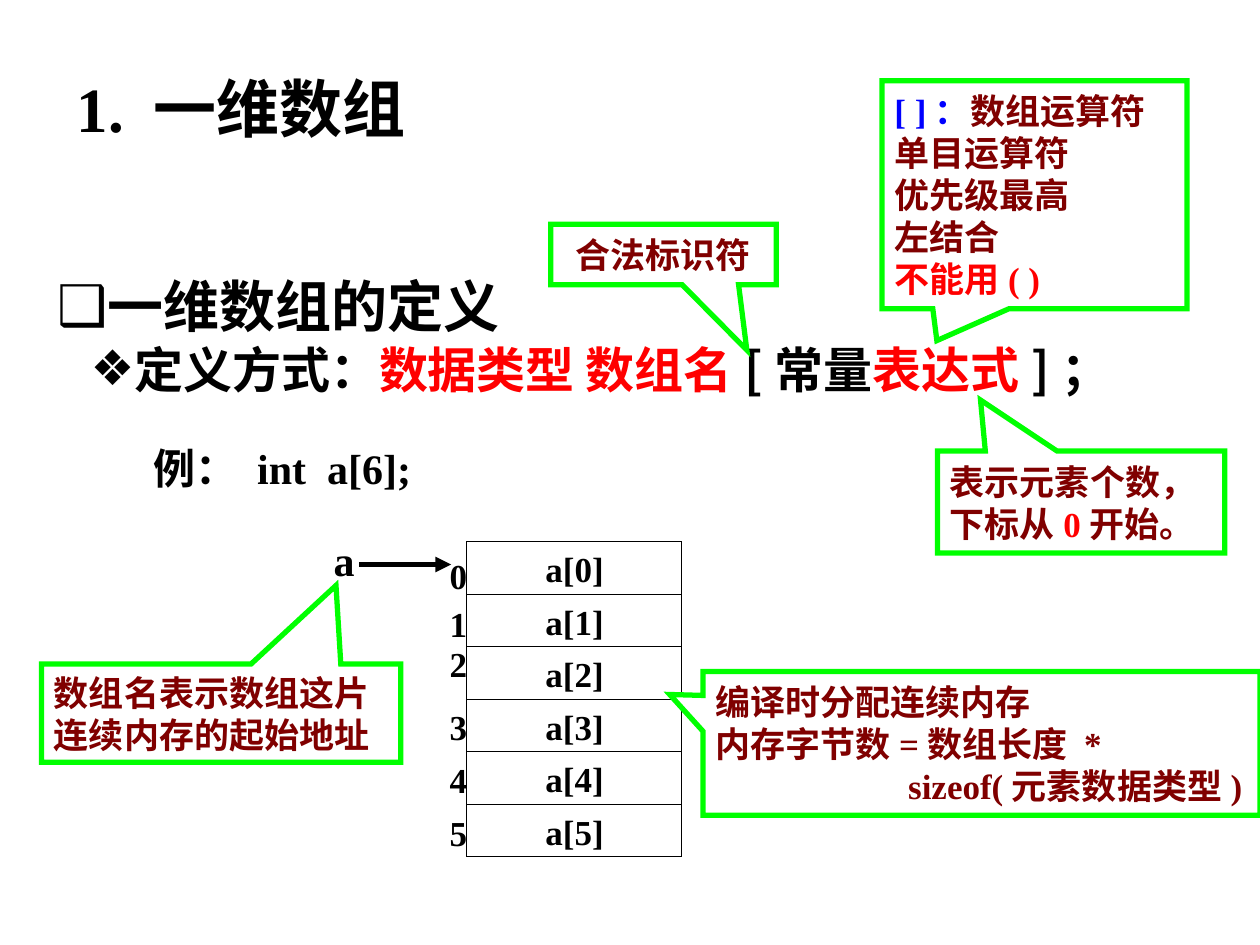
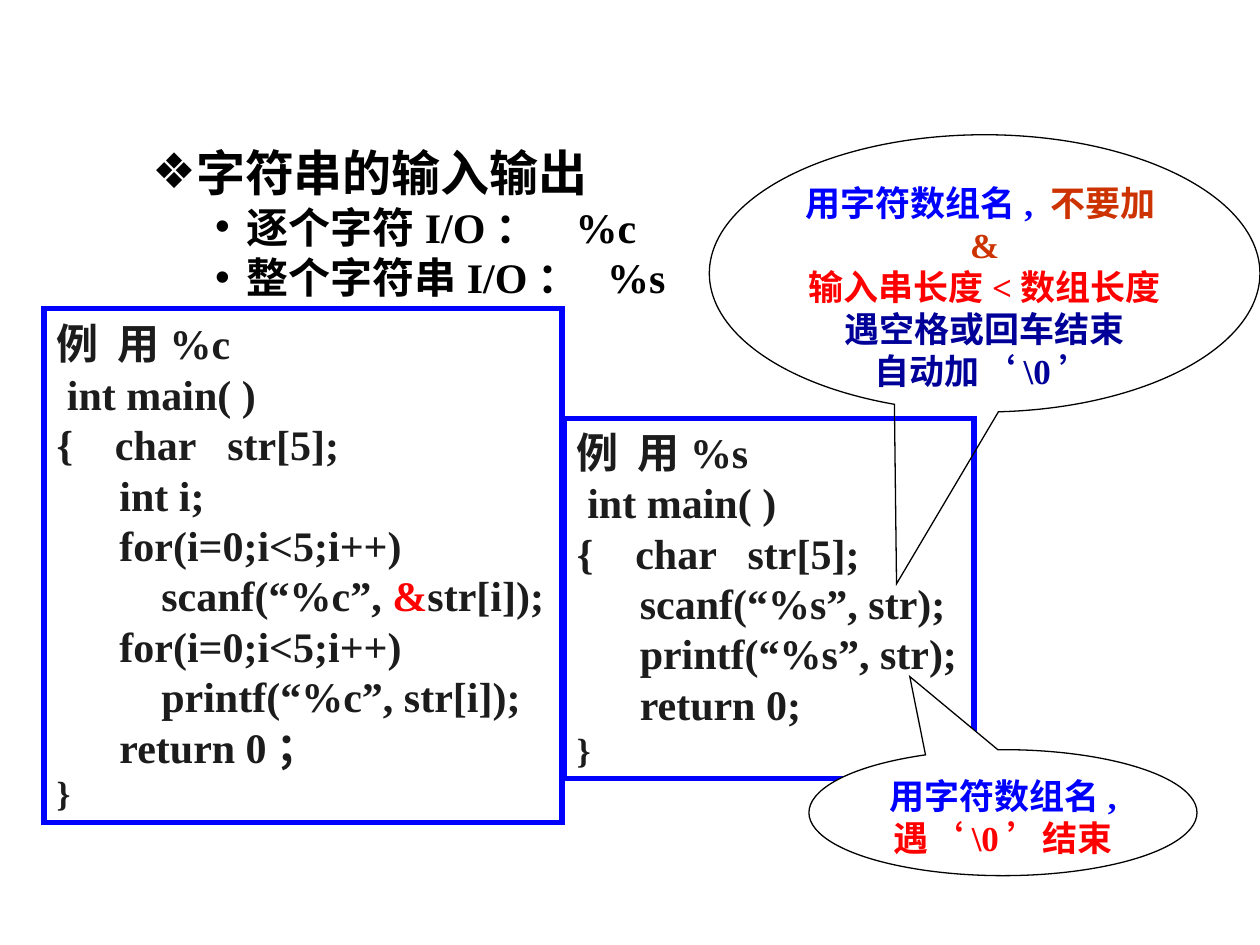
from lxml.etree import SubElement
from pptx import Presentation
from pptx.dml.color import RGBColor
from pptx.enum.shapes import MSO_CONNECTOR as Connector, MSO_SHAPE as Shape
from pptx.enum.text import MSO_ANCHOR as Anchor, PP_ALIGN as Align
from pptx.oxml.ns import qn
from pptx.util import Inches, Pt

SERIF = "Times New Roman"
SANS = "Noto Sans CJK SC"
BLACK, WHITE, RED, BLUE = "000000", "FFFFFF", "FF0000", "0000FF"
MAROON, GREEN, CODE = "800000", "00FF00", "1C1C1C"
ORANGE, NAVY = "CC3300", "000099"


def rgb(value):
    return RGBColor.from_string(value)


def add_run(paragraph, text, size, color=BLACK, font=SERIF):
    run = paragraph.add_run()
    run.text = text
    run.font.size = Pt(size)
    run.font.bold = True
    run.font.name = font
    run.font.color.rgb = rgb(color)
    SubElement(run._r.get_or_add_rPr(), qn("a:ea"), typeface=SANS)


def write_lines(frame, lines, size, align=Align.LEFT):
    for number, line in enumerate(lines):
        paragraph = frame.paragraphs[0] if number == 0 else frame.add_paragraph()
        paragraph.alignment = align
        for run in line:
            add_run(paragraph, run[0], size, *run[1:])


def set_bullet(paragraph, symbol, left, hang, tab=None):
    properties = paragraph._p.get_or_add_pPr()
    properties.set("marL", str(Inches(left)))
    properties.set("indent", str(-Inches(hang)))
    color = SubElement(properties, qn("a:buClr"))
    SubElement(color, qn("a:srgbClr"), val=BLACK)
    SubElement(properties, qn("a:buFont"), typeface="Arial")
    SubElement(properties, qn("a:buChar"), char=symbol)
    if tab:
        stops = SubElement(properties, qn("a:tabLst"))
        SubElement(stops, qn("a:tab"), pos=str(Inches(tab)), algn="l")


def add_text(slide, box, lines, size, wrap=True, align=Align.LEFT):
    frame = slide.shapes.add_textbox(*map(Inches, box)).text_frame
    frame.word_wrap = wrap
    write_lines(frame, lines, size, align)


def add_outline(slide, box, items):
    frame = slide.shapes.add_textbox(*map(Inches, box)).text_frame
    frame.word_wrap = True
    for number, (bullet, size, runs) in enumerate(items):
        paragraph = frame.paragraphs[0] if number == 0 else frame.add_paragraph()
        set_bullet(paragraph, *bullet)
        for run in runs:
            add_run(paragraph, run[0], size, *run[1:])


def add_shape(slide, kind, box, line, width, fill=None):
    shape = slide.shapes.add_shape(kind, *map(Inches, box))
    shape.shadow.inherit = False
    shape.line.color.rgb = rgb(line)
    shape.line.width = Pt(width)
    SubElement(shape.line._get_or_add_ln(), qn("a:miter"), lim="800000")
    if fill:
        shape.fill.solid()
        shape.fill.fore_color.rgb = rgb(fill)
    else:
        shape.fill.background()
    return shape


def point_callout(shape, tip):
    for number, offset in enumerate(tip):
        shape.adjustments[number] = offset


def add_note(slide, box, tip, lines, align=Align.LEFT):
    note = add_shape(slide, Shape.RECTANGULAR_CALLOUT, box, GREEN, 3, WHITE)
    point_callout(note, tip)
    note.text_frame.word_wrap = True
    note.text_frame.vertical_anchor = Anchor.MIDDLE
    write_lines(note.text_frame, lines, 20, align)
    return note


def add_bubble(slide, box, tip, lines, fill=None):
    bubble = add_shape(slide, Shape.OVAL_CALLOUT, box, BLACK, 0.75, fill)
    point_callout(bubble, tip)
    bubble.text_frame.word_wrap = True
    bubble.text_frame.vertical_anchor = Anchor.TOP
    write_lines(bubble.text_frame, lines, 20, Align.CENTER)


def add_code(slide, box, lines):
    frame = add_shape(slide, Shape.RECTANGLE, box, BLUE, 3).text_frame
    frame.word_wrap = False
    frame.vertical_anchor = Anchor.MIDDLE
    write_lines(frame, lines, 24)
    closing_brace = frame.add_paragraph()
    closing_brace.alignment = Align.LEFT
    add_run(closing_brace, "}", 20, CODE)


def add_line(slide, start, end, width, arrow=False):
    line = slide.shapes.add_connector(
        Connector.STRAIGHT, *map(Inches, (*start, *end)))
    line.line.color.rgb = rgb(BLACK)
    line.line.width = Pt(width)
    if arrow:
        SubElement(line.line._get_or_add_ln(), qn("a:tailEnd"), type="triangle")
    SubElement(line._element.spPr, qn("a:effectLst"))


def add_memory(slide):
    left, top, width, height = 3.7, 4.3, 1.71, 2.5
    index_tops = (4.35, 4.73, 5.05, 5.55, 5.97, 6.39)
    row = height / len(index_tops)
    add_shape(slide, Shape.RECTANGLE, (left, top, width, height), BLACK, 0.75)
    for index, index_top in enumerate(index_tops):
        cell_top = top + index * row
        if index:
            add_line(slide, (left, cell_top), (left + width, cell_top), 0.75)
        add_text(slide, (4.23, cell_top, 0.85, 0.43), [[(f"a[{index}]",)]], 20)
        add_text(slide, (3.47, index_top, 0.34, 0.43), [[(str(index),)]], 20, False)
    add_line(slide, (2.85, 4.48), (3.58, 4.48), 3, arrow=True)
    add_text(slide, (2.55, 4.19, 0.36, 0.5), [[("a",)]], 24, False, Align.CENTER)


def build_array_slide(deck):
    slide = deck.slides.add_slide(deck.slide_layouts[5])
    title = slide.shapes.title
    title.left, title.top, title.width, title.height = map(
        Inches, (0.51, 0.44, 3.43, 0.83))
    title.text_frame.vertical_anchor = Anchor.MIDDLE
    write_lines(title.text_frame, [[("1.",), (" 一维数组", BLACK, SANS)]], 36)

    add_outline(slide, (0.35, 2.11, 9.38, 1.2), [
        (("❑", 0.01, 0), 32, [("一维数组的定义",)]),
        (("❖", 0.5, 0.23), 28, [
            ("定义方式：", BLACK, SANS), ("数据类型 数组名", RED, SANS),
            ("[常量", BLACK, SANS), ("表达式", RED, SANS), ("]；", BLACK, SANS)]),
    ])
    add_note(slide, (4.37, 1.78, 1.79, 0.48), (0.37, 1.58),
             [[("合法标识符", MAROON)]], Align.CENTER)
    add_note(slide, (7.44, 3.58, 2.28, 0.81), (-0.35, -1),
             [[("表示元素个数，下标从", MAROON), ("0", RED), ("开始。", MAROON)]])
    add_note(slide, (7, 0.64, 2.42, 1.81), (-0.32, 0.64), [
        [("[ ]：", BLUE), ("数组运算符", MAROON)],
        [("单目运算符", MAROON)],
        [("优先级最高", MAROON)],
        [("左结合", MAROON)],
        [("不能用( )", RED)],
    ])
    add_text(slide, (1.12, 3.46, 3.25, 0.56),
             [[("例： ", BLACK, SANS), ("int  a[6];",)]], 24)
    add_memory(slide)
    allocation = add_note(slide, (5.58, 5.33, 4.42, 1.14), (-0.56, -0.34), [
        [("编译时分配连续内存", MAROON)],
        [("内存字节数=数组长度 *", MAROON)],
        [("sizeof(元素数据类型)", MAROON)],
    ])
    allocation.text_frame.margin_right = Inches(0.14)
    allocation.text_frame.paragraphs[-1].alignment = Align.RIGHT
    add_note(slide, (0.33, 5.27, 2.85, 0.78), (0.32, -1.3),
             [[("数组名表示数组这片连续内存的起始地址", MAROON)]])


def build_string_slide(deck):
    slide = deck.slides.add_slide(deck.slide_layouts[6])
    add_outline(slide, (0.35, 1.08, 8.25, 1.34), [
        (("❖", 1, 0.24), 28, [("字符串的输入输出",)]),
        (("•", 1.51, 0.25, 4.12), 24, [("逐个字符I/O：\t%c",)]),
        (("•", 1.51, 0.25, 4.37), 24, [("整个字符串I/O：\t%s",)]),
    ])
    opening = [[(" int main( )", CODE)], [("{    char   str[5];", CODE)]]
    loop = [("      for(i=0;i<5;i++)", CODE)]
    add_code(slide, (0.35, 2.45, 4.11, 4.08), [
        [("例  用%c", CODE)],
        *opening,
        [("      int i;", CODE)],
        loop,
        [("          scanf(“%c”, ", CODE), ("&", RED), ("str[i]);", CODE)],
        loop,
        [("          printf(“%c”, str[i]);", CODE)],
        [("      return 0；", CODE)],
    ])
    add_code(slide, (4.48, 3.32, 3.25, 2.86), [
        [("例  用%s", CODE)],
        *opening,
        [("      scanf(“%s”, str);", CODE)],
        [("      printf(“%s”, str);", CODE)],
        [("      return 0;", CODE)],
    ])
    add_bubble(slide, (6.42, 5.95, 3.08, 1), (-0.24, -1.08),
               [[("用字符数组名,", BLUE)], [("遇‘\\0’结束", RED)]], WHITE)
    add_bubble(slide, (5.63, 1.07, 4.37, 2.2), (-0.16, 1.12), [
        [("用字符数组名, ", BLUE), ("不要加&", ORANGE)],
        [("输入串长度<数组长度", RED)],
        [("遇空格或回车结束", NAVY)],
        [("自动加‘\\0’", NAVY)],
    ])


def main():
    deck = Presentation()
    deck.slide_width, deck.slide_height = Inches(10), Inches(7.5)
    build_array_slide(deck)
    build_string_slide(deck)
    deck.save("out.pptx")


if __name__ == "__main__":
    main()
